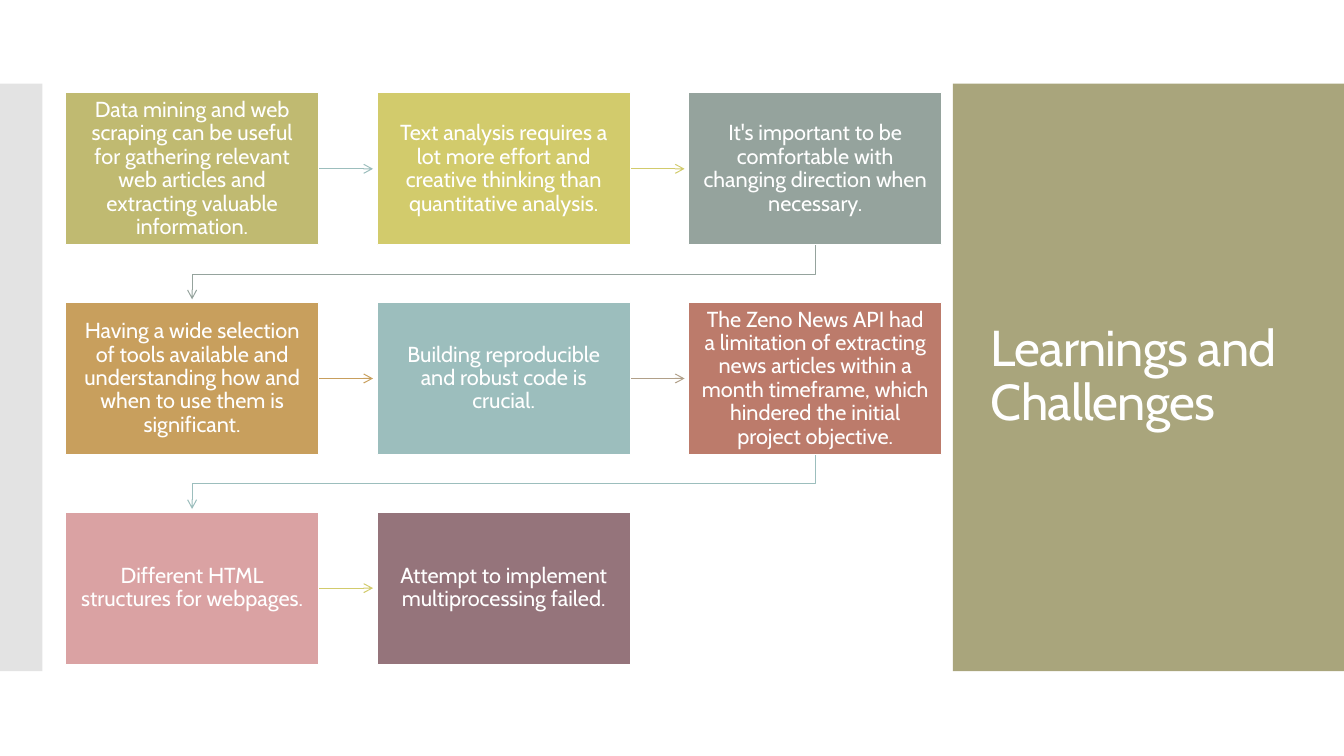
from lxml import etree
from pptx import Presentation
from pptx.dml.color import RGBColor
from pptx.enum import shapes, text
from pptx.oxml.ns import qn
from pptx.util import Inches, Pt

COLORS = {
    "white": "FFFFFF", "olive": "A9A57C", "grey": "C8C8C8", "khaki": "C0BA71",
    "yellow": "D2CB6C", "sage": "95A39D", "ochre": "C89F5D", "teal": "9CBEBD",
    "taupe": "B1A089", "brick": "BC7B6B", "pink": "DAA2A3", "plum": "95747B",
}
COLUMNS = 3
LEFT, TOP = 0.65, 0.92
STEP_X, STEP_Y = 3.09, 2.08
CARD_W, CARD_H = 2.51, 1.51
ARROW_LENGTH = 0.54
BEND = 0.29
CARDS = [
    ("Data mining and web scraping can be useful for gathering relevant web "
     "articles and extracting valuable information.", "khaki", "teal"),
    ("Text analysis requires a lot more effort and creative thinking than "
     "quantitative analysis.", "yellow", "yellow"),
    ("It's important to be comfortable with changing direction when necessary.",
     "sage", "sage"),
    ("Having a wide selection of tools available and understanding how and "
     "when to use them is significant.", "ochre", "ochre"),
    ("Building reproducible and robust code is crucial.", "teal", "taupe"),
    ("The Zeno News API had a limitation of extracting news articles within a "
     "month timeframe, which hindered the initial project objective.",
     "brick", "teal"),
    ("Different HTML structures for webpages.", "pink", "yellow"),
    ("Attempt to implement multiprocessing failed.", "plum", None),
]
CARD_FRAME = {
    "word_wrap": True, "auto_size": text.MSO_AUTO_SIZE.NONE,
    "vertical_anchor": text.MSO_ANCHOR.MIDDLE,
    "margin_left": Inches(0.12), "margin_right": Inches(0.12),
    "margin_top": Inches(0.13), "margin_bottom": Inches(0.13),
}
TITLE_FRAME = {
    "word_wrap": True, "auto_size": text.MSO_AUTO_SIZE.NONE,
    "vertical_anchor": text.MSO_ANCHOR.MIDDLE,
}


def rgb(name):
    """Return the named colour."""
    return RGBColor.from_string(COLORS[name])


def apply(target, values):
    """Set each attribute in values on target."""
    for name, value in values.items():
        setattr(target, name, value)


def write(sp, words, size, align, frame):
    """Write one white paragraph into a shape and return its run."""
    tf = sp.text_frame
    apply(tf, frame)
    p = tf.paragraphs[0]
    apply(p, {"alignment": align, "line_spacing": 0.9})
    r = p.add_run()
    r.text = words
    apply(r.font, {"name": "Cabin", "size": Pt(size)})
    r.font.color.rgb = rgb("white")
    return r


def add_rect(s, x, y, w, h, fill, alpha=None):
    """Add a borderless rectangle, optionally translucent."""
    sp = s.shapes.add_shape(shapes.MSO_SHAPE.RECTANGLE,
                            Inches(x), Inches(y), Inches(w), Inches(h))
    sp.shadow.inherit = False
    sp.fill.solid()
    sp.fill.fore_color.rgb = rgb(fill)
    sp.line.fill.background()
    if alpha is not None:
        color = sp.fill._xPr.find(".//" + qn("a:srgbClr"))
        etree.SubElement(color, qn("a:alpha"), val=str(alpha * 1000))
    return sp


def add_card(s, x, y, words, fill):
    """Add a white-edged card with centred text."""
    sp = add_rect(s, x, y, CARD_W, CARD_H, fill)
    sp.line.color.rgb = rgb("white")
    sp.line.width = Pt(0.85)
    write(sp, words, 15.5, text.PP_ALIGN.CENTER, CARD_FRAME)


def style_arrow(sp, color):
    """Give a line its colour, width and open arrowhead."""
    sp.line.color.rgb = rgb(color)
    sp.line.width = Pt(0.75)
    etree.SubElement(sp.line._get_or_add_ln(), qn("a:tailEnd"), type="arrow")


def add_side_arrow(s, x, y, color):
    """Add a straight arrow to the next card in the row."""
    sp = s.shapes.add_connector(shapes.MSO_CONNECTOR.STRAIGHT, Inches(x),
                                Inches(y), Inches(x + ARROW_LENGTH), Inches(y))
    etree.SubElement(sp._element.spPr, qn("a:effectLst"))
    style_arrow(sp, color)


def add_return_arrow(s, x, y, color):
    """Add a bent arrow from the last column to the next row's first card."""
    first = LEFT + CARD_W / 2
    points = [(x, y + BEND), (first, y + BEND), (first, y + ARROW_LENGTH)]
    builder = s.shapes.build_freeform(Inches(x), Inches(y))
    builder.add_line_segments([(Inches(a), Inches(b)) for a, b in points],
                              close=False)
    sp = builder.convert_to_shape()
    sp.shadow.inherit = False
    sp.fill.background()
    style_arrow(sp, color)


def add_title(s, words):
    """Add the slide title on the side panel."""
    sp = s.shapes.add_textbox(Inches(9.73), Inches(1.23),
                              Inches(3.22), Inches(5.03))
    r = write(sp, words, 36, text.PP_ALIGN.LEFT, TITLE_FRAME)
    r._r.get_or_add_rPr().set("spc", "-60")


def add_flow(s):
    """Lay the cards out row by row and link each to the next."""
    for i, (words, fill, arrow) in enumerate(CARDS):
        row, column = divmod(i, COLUMNS)
        x, y = LEFT + column * STEP_X, TOP + row * STEP_Y
        if arrow and column < COLUMNS - 1:
            add_side_arrow(s, x + CARD_W, y + CARD_H / 2, arrow)
        elif arrow:
            add_return_arrow(s, x + CARD_W / 2, y + CARD_H, arrow)
        add_card(s, x, y, words, fill)


def main():
    """Build and save the slide."""
    prs = Presentation()
    apply(prs, {"slide_width": Inches(13.33), "slide_height": Inches(7.5)})
    s = prs.slides.add_slide(prs.slide_layouts[6])
    add_rect(s, 9.45, 0.83, 3.88, 5.83, "olive")
    add_title(s, "Learnings and Challenges")
    add_rect(s, 0, 0.83, 0.42, 5.83, "grey", alpha=50)
    add_flow(s)
    prs.save("out.pptx")


main()
